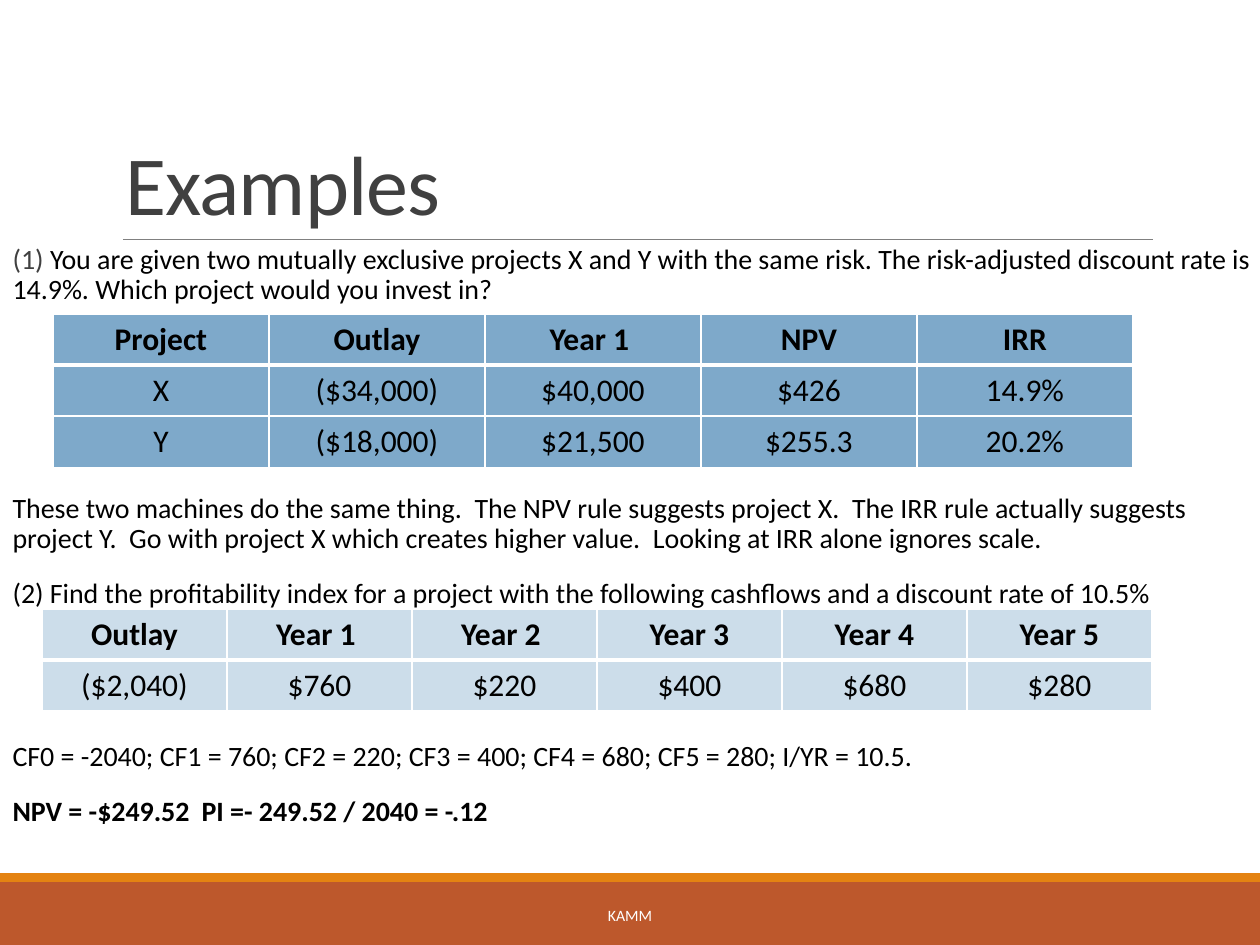
"""Build the slide of worked NPV, IRR and profitability index examples."""
import dataclasses
import typing

import lxml.etree
import pptx
import pptx.dml.color
import pptx.enum.shapes
import pptx.enum.text
import pptx.oxml.ns
import pptx.util

HUES = {
    "rust": "BD582C",
    "gold": "E48312",
    "rule": "808080",
    "title": "404040",
    "text": "000000",
    "white": "FFFFFF",
    "blue": "7EA9CA",
    "pale": "CCDDEA",
}
ALIGN = pptx.enum.text.PP_ALIGN
ANCHOR = pptx.enum.text.MSO_ANCHOR
QN = pptx.oxml.ns.qn


@dataclasses.dataclass
class Box:
    x: int
    y: int
    w: int
    h: int


@dataclasses.dataclass
class Bar:
    box: Box
    hue: str


@dataclasses.dataclass
class Grid:
    x: int
    y: int
    wide: int
    hue: str
    rows: list[list[str]]


@dataclasses.dataclass
class Para:
    runs: list[tuple[str, str]]
    gap: int = 12
    bold: bool = False


BARS = [
    Bar(Box(0, 882, 1260, 63), "rust"),
    Bar(Box(0, 873, 1260, 9), "gold"),
]
GRIDS = [
    Grid(53, 314, 216, "blue", [
        ["Project", "Outlay", "Year 1 ", "NPV", "IRR"],
        ["X", "($34,000)", "$40,000", "$426", "14.9%"],
        ["Y", "($18,000)", "$21,500", "$255.3", "20.2%"],
    ]),
    Grid(42, 609, 185, "pale", [
        ["Outlay", "Year 1 ", "Year 2 ", "Year 3", "Year 4", "Year 5"],
        ["($2,040)", "$760", "$220", "$400", "$680", "$280"],
    ]),
]
PARAS = [
    Para([
        ("(1) ", "title"),
        ("You are given two mutually exclusive projects X and Y with the same risk. "
         "The risk-adjusted discount rate is 14.9%. Which project would you invest in?", "text"),
    ]),
    Para([("These two machines do the same thing.  The NPV rule suggests project X.  "
           "The IRR rule actually suggests project Y.  Go with project X which creates "
           "higher value.  Looking at IRR alone ignores scale.", "text")], gap=106),
    Para([("(2) Find the profitability index for a project with the following cashflows "
           "and a discount rate of 10.5%", "text")]),
    Para([("CF0 = -2040; CF1 = 760; CF2 = 220; CF3 = 400; CF4 = 680; CF5 = 280; "
           "I/YR = 10.5.", "text")], gap=74),
    Para([("NPV = -$249.52 \tPI =- 249.52 / 2040 = -.12", "text")], bold=True),
]


def px(num: int) -> pptx.util.Emu:
    return pptx.util.Emu(round(num * 914400 / 126))


def rgb(hue: str) -> pptx.dml.color.RGBColor:
    return pptx.dml.color.RGBColor.from_string(HUES[hue])


def style(item: typing.Any, form: dict[str, typing.Any]) -> None:
    for name, val in form.items():
        setattr(item, name, val)


def span(box: Box) -> list[pptx.util.Emu]:
    return [px(num) for num in (box.x, box.y, box.w, box.h)]


def place(shape: typing.Any, box: Box) -> None:
    style(shape, dict(zip(("left", "top", "width", "height"), span(box))))


def write(para: typing.Any, text: str, size: int, hue: str, bold: bool = False) -> typing.Any:
    run = para.add_run()
    run.text = text
    style(run.font, {"name": "Calibri", "size": pptx.util.Pt(size), "bold": bold})
    run.font.color.rgb = rgb(hue)
    return run


def draw_bar(slide: typing.Any, bar: Bar) -> None:
    kind = pptx.enum.shapes.MSO_SHAPE.RECTANGLE
    shape = slide.shapes.add_shape(kind, *span(bar.box))
    shape.shadow.inherit = False
    shape.fill.solid()
    shape.fill.fore_color.rgb = rgb(bar.hue)
    shape.line.fill.background()


def draw_rule(slide: typing.Any) -> None:
    kind = pptx.enum.shapes.MSO_CONNECTOR.STRAIGHT
    rule = slide.shapes.add_connector(kind, px(123), px(239), px(1153), px(239))
    rule.line.color.rgb = rgb("rule")
    rule.line.width = pptx.util.Pt(0.5)
    lxml.etree.SubElement(rule._element.spPr, QN("a:effectLst"))


def draw_title(slide: typing.Any) -> None:
    title = slide.shapes.title
    place(title, Box(113, 39, 1040, 200))
    style(title.text_frame, {"vertical_anchor": ANCHOR.BOTTOM, "word_wrap": True,
                             "auto_size": pptx.enum.text.MSO_AUTO_SIZE.NONE})
    para = title.text_frame.paragraphs[0]
    style(para, {"alignment": ALIGN.LEFT, "line_spacing": 0.85})
    run = write(para, "Examples", 48, "title")
    run.font._element.set("spc", "-50")


def draw_body(slide: typing.Any) -> None:
    body = slide.placeholders[1]
    place(body, Box(0, 239, 1270, 636))
    frame = body.text_frame
    style(frame, {"margin_left": 0, "margin_right": 0, "margin_top": px(6),
                  "margin_bottom": px(6), "word_wrap": True,
                  "vertical_anchor": ANCHOR.TOP,
                  "auto_size": pptx.enum.text.MSO_AUTO_SIZE.NONE})
    for num, item in enumerate(PARAS):
        para = frame.add_paragraph() if num else frame.paragraphs[0]
        style(para, {"alignment": ALIGN.LEFT, "line_spacing": 0.9,
                     "space_before": pptx.util.Pt(item.gap),
                     "space_after": pptx.util.Pt(2)})
        props = para._p.get_or_add_pPr()
        props.set("marL", str(pptx.util.Inches(0.1)))
        props.set("indent", "0")
        lxml.etree.SubElement(props, QN("a:buNone"))
        for text, hue in item.runs:
            write(para, text, 16, hue, item.bold)


def edge(cell: typing.Any, sides: dict[str, int]) -> None:
    props = cell._tc.get_or_add_tcPr()
    for spot, (side, width) in enumerate(sides.items()):
        line = lxml.etree.Element(QN(f"a:ln{side}"), w=str(pptx.util.Pt(width)))
        fill = lxml.etree.SubElement(line, QN("a:solidFill"))
        lxml.etree.SubElement(fill, QN("a:srgbClr"), val=HUES["white"])
        props.insert(spot, line)


def draw_grid(slide: typing.Any, grid: Grid) -> None:
    high, cols, count = 51, len(grid.rows[0]), len(grid.rows)
    box = Box(grid.x, grid.y, grid.wide * cols, high * count)
    table = slide.shapes.add_table(count, cols, *span(box)).table
    for col in table.columns:
        col.width = px(grid.wide)
    for row, texts in enumerate(grid.rows):
        table.rows[row].height = px(high)
        for col, text in enumerate(texts):
            cell = table.cell(row, col)
            cell.fill.solid()
            cell.fill.fore_color.rgb = rgb(grid.hue)
            edge(cell, {"L": 1, "R": 1, "T": 3 if row == 1 else 1, "B": 1 if row else 3})
            para = cell.text_frame.paragraphs[0]
            para.alignment = ALIGN.CENTER
            write(para, text, 18, "text", row == 0)


def draw_foot(slide: typing.Any) -> None:
    frame = slide.shapes.add_textbox(*span(Box(381, 890, 498, 50))).text_frame
    style(frame, {"word_wrap": True, "vertical_anchor": ANCHOR.MIDDLE})
    para = frame.paragraphs[0]
    para.alignment = ALIGN.CENTER
    write(para, "KAMM", 9, "white")


def main() -> None:
    deck = pptx.Presentation()
    style(deck, {"slide_width": px(1260), "slide_height": px(945)})
    slide = deck.slides.add_slide(deck.slide_layouts[1])
    for bar in BARS:
        draw_bar(slide, bar)
    draw_rule(slide)
    draw_title(slide)
    draw_body(slide)
    for grid in GRIDS:
        draw_grid(slide, grid)
    draw_foot(slide)
    deck.save("out.pptx")


if __name__ == "__main__":
    main()
